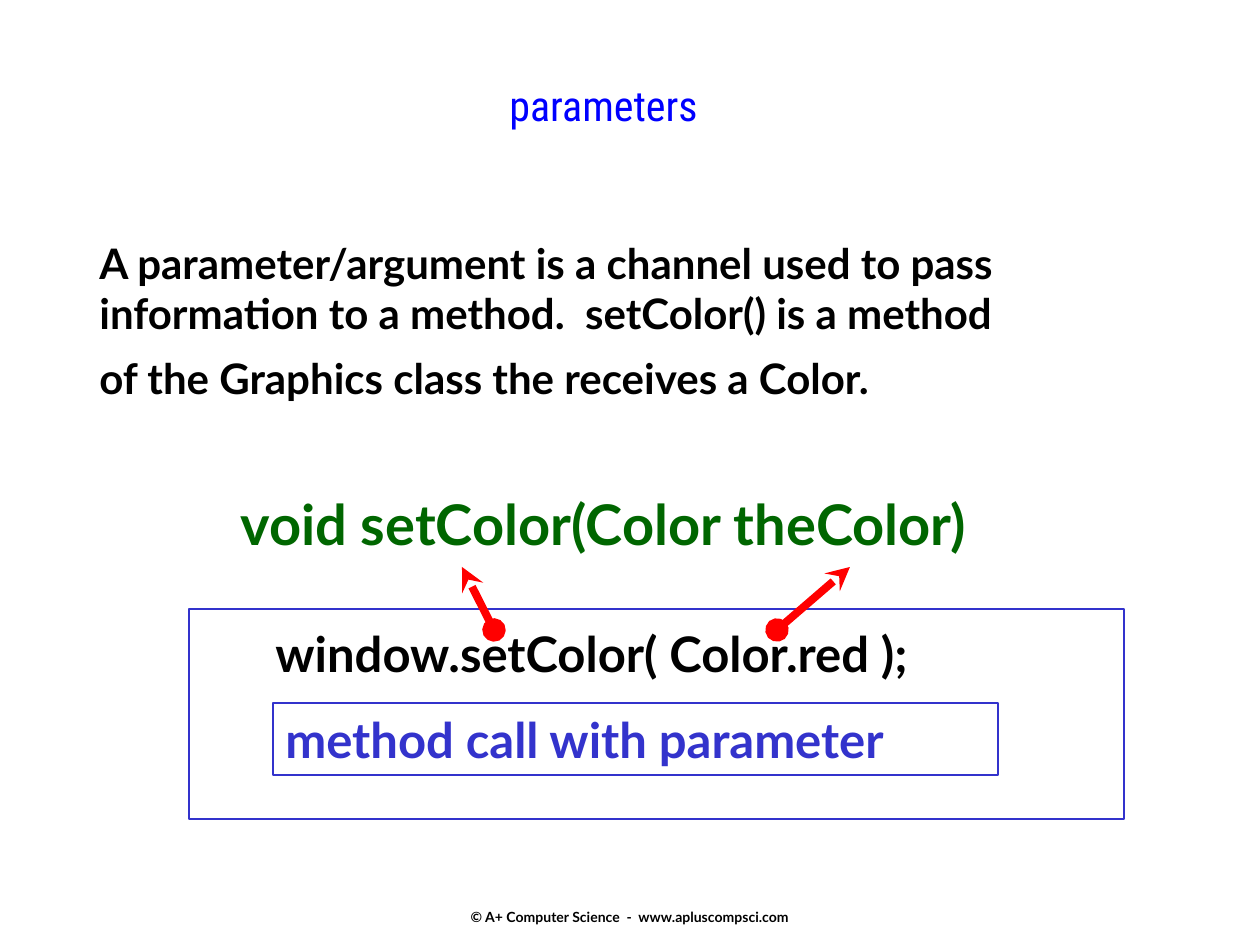
from pptx import Presentation, util as u
from pptx.dml.color import RGBColor
from pptx.enum import shapes, text
from pptx.oxml.ns import qn
from lxml import etree

PX = 914400 // 126
BLACK, BLUE, GREEN, INDIGO, RED = "000000", "0000FF", "006600", "3333CC", "FF0000"


def px(value):
    return u.Emu(value * PX)


def color(value):
    return RGBColor.from_string(value)


def write(shape, lines, size, ink, font="Lato", bold=True, align=text.PP_ALIGN.LEFT,
          anchor=text.MSO_ANCHOR.TOP, gap=0):
    """Fill a shape with paragraphs, separated by gap points."""
    frame = shape.text_frame
    frame.word_wrap = True
    frame.vertical_anchor = anchor
    for index, line in enumerate(lines):
        paragraph = frame.add_paragraph() if index else frame.paragraphs[0]
        paragraph.text = line
        paragraph.alignment = align
        if index:
            paragraph.space_before = u.Pt(gap)
        paragraph.font.size = u.Pt(size)
        paragraph.font.name = font
        paragraph.font.bold = bold
        paragraph.font.color.rgb = color(ink)


def add_text(slide, box, lines, size, ink, **style):
    write(slide.shapes.add_textbox(*map(px, box)), lines, size, ink, **style)


def add_frame(slide, box):
    shape = slide.shapes.add_shape(shapes.MSO_SHAPE.RECTANGLE, *map(px, box))
    shape.shadow.inherit = False
    shape.fill.background()
    shape.line.color.rgb = color(INDIGO)
    shape.line.width = u.Pt(0.75)
    return shape


def add_arrow(slide, start, end):
    arrow = slide.shapes.add_connector(shapes.MSO_CONNECTOR.STRAIGHT, *map(px, start + end))
    arrow.line.color.rgb = color(RED)
    arrow.line.width = u.Pt(4.5)
    line = arrow.line._get_or_add_ln()
    for tag, kind in (("a:headEnd", "oval"), ("a:tailEnd", "stealth")):
        etree.SubElement(line, qn(tag), type=kind)
    etree.SubElement(arrow._element.spPr, qn("a:effectLst"))


def add_method_call(slide, left, top, width, height):
    """Framed call with its caption, and arrows up to the signature."""
    add_text(slide, (left + 74, top + 8, width - 148, 72),
             ["window.setColor( Color.red );"], 28, BLACK)
    add_frame(slide, (left, top, width, height))
    caption = add_frame(slide, (left + 84, top + 94, 725, 72))
    write(caption, ["method call with parameter"], 28, INDIGO)
    for start, end in ((305, 273), (588, 661)):
        add_arrow(slide, (left + start, top + 21), (left + end, top - 42))


def main():
    presentation = Presentation()
    presentation.slide_width, presentation.slide_height = u.Inches(10), u.Inches(7.5)
    slide = presentation.slides.add_slide(presentation.slide_layouts[6])

    # Footer
    add_text(slide, (430, 902, 400, 30), ["© A+ Computer Science  -  www.apluscompsci.com"],
             8, BLACK, align=text.PP_ALIGN.CENTER, anchor=text.MSO_ANCHOR.MIDDLE)
    # Explanation
    add_text(slide, (87, 231, 1047, 181),
             ["A parameter/argument is a channel used to pass\v"
              "information to a method.  setColor() is a method",
              "of the Graphics class the receives a Color."], 24, BLACK, gap=8)
    # Signature and the call that matches it
    add_text(slide, (228, 483, 848, 80), ["void setColor(Color theColor)"], 32, GREEN)
    add_method_call(slide, 189, 609, 935, 210)
    # Title
    add_text(slide, (126, 73, 955, 94), ["parameters"], 24, BLUE,
             font="Roboto Condensed", bold=False, align=text.PP_ALIGN.CENTER)

    presentation.save("out.pptx")


if __name__ == "__main__":
    main()
